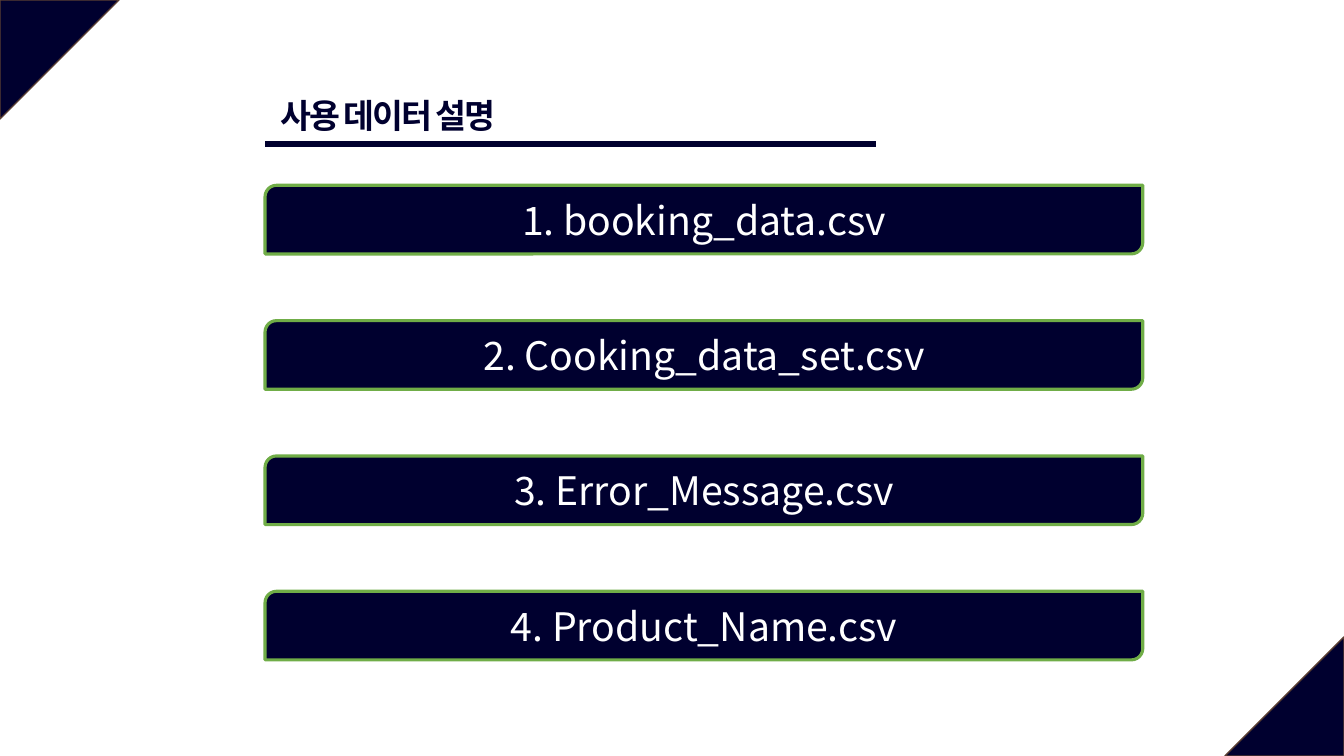
from lxml.etree import SubElement
from pptx import Presentation
from pptx.dml.color import RGBColor
from pptx.enum.shapes import MSO_CONNECTOR, MSO_SHAPE as SHAPE
from pptx.enum.text import MSO_ANCHOR as ANCHOR, MSO_AUTO_SIZE, PP_ALIGN as ALIGN
from pptx.oxml.ns import qn
from pptx.util import Cm, Pt

FONT = "Noto Sans CJK KR"
NAVY, GREEN, BROWN, WHITE = "00002F", "70AD47", "5B3F33", "FFFFFF"
WIDTH, HEIGHT = 33.87, 19.05
LEFT, CORNER = 6.68, 3
BAR_TOP, BAR_STEP = 4.67, 3.41
FILES = ["booking_data.csv", "Cooking_data_set.csv",
         "Error_Message.csv", "Product_Name.csv"]


def rgb(color):
    """Turn a hex string into a colour."""
    return RGBColor.from_string(color)


def add_block(s, kind, x, y, w, h, line, weight):
    """Add a navy preset shape with an outline."""
    sp = s.shapes.add_shape(kind, Cm(x), Cm(y), Cm(w), Cm(h))
    sp.shadow.inherit = False
    sp.fill.solid()
    sp.fill.fore_color.rgb = rgb(NAVY)
    sp.line.color.rgb = rgb(line)
    sp.line.width = Pt(weight)
    return sp


def set_text(sp, text, size, color, bold=False):
    """Write one paragraph and return its run."""
    sp.text_frame.text = text
    r = sp.text_frame.paragraphs[0].runs[0]
    r.font.size = Pt(size)
    r.font.bold = bold
    r.font.color.rgb = rgb(color)
    r.font.name = FONT
    SubElement(r.font._element, qn("a:ea")).set("typeface", FONT)
    return r


def add_corner(s, x, y, rotation):
    """Add a right triangle that fills a slide corner."""
    sp = add_block(s, SHAPE.ISOSCELES_TRIANGLE, x, y, CORNER, CORNER, BROWN, 1)
    sp.adjustments[0] = 0
    sp.rotation = rotation


def add_rule(s, x1, x2, y):
    """Add the thick horizontal line under the title."""
    line = s.shapes.add_connector(MSO_CONNECTOR.STRAIGHT, Cm(x1), Cm(y), Cm(x2), Cm(y))
    line.line.color.rgb = rgb(NAVY)
    line.line.width = Pt(4.5)
    SubElement(line._element.spPr, qn("a:effectLst"))


def add_title(s, text, x, y, w, h):
    """Add the slide title with tightened letter spacing."""
    sp = s.shapes.add_textbox(Cm(x), Cm(y), Cm(w), Cm(h))
    r = set_text(sp, text, 24, NAVY, bold=True)
    r.font._element.set("spc", "-150")
    tf = sp.text_frame
    tf.word_wrap = False
    tf.auto_size = MSO_AUTO_SIZE.SHAPE_TO_FIT_TEXT


def add_bar(s, text, y):
    """Add a bar that names one data file."""
    sp = add_block(s, SHAPE.ROUND_2_DIAG_RECTANGLE, LEFT, y, 22.12, 1.73, GREEN, 2.25)
    set_text(sp, text, 28, WHITE)
    tf = sp.text_frame
    tf.vertical_anchor = ANCHOR.MIDDLE
    tf.paragraphs[0].alignment = ALIGN.CENTER


def main():
    """Build and save the slide."""
    prs = Presentation()
    prs.slide_width, prs.slide_height = Cm(WIDTH), Cm(HEIGHT)
    s = prs.slides.add_slide(prs.slide_layouts[6])
    add_corner(s, 0, 0, 90)
    add_corner(s, WIDTH - CORNER, HEIGHT - CORNER, 270)
    add_rule(s, LEFT, 22.07, 3.63)
    add_title(s, " 사용 데이터 설명", LEFT, 2.26, 7.11, 1.27)
    for i, name in enumerate(FILES):
        add_bar(s, f"{i + 1}. {name}", BAR_TOP + i * BAR_STEP)
    prs.save("out.pptx")


if __name__ == "__main__":
    main()
